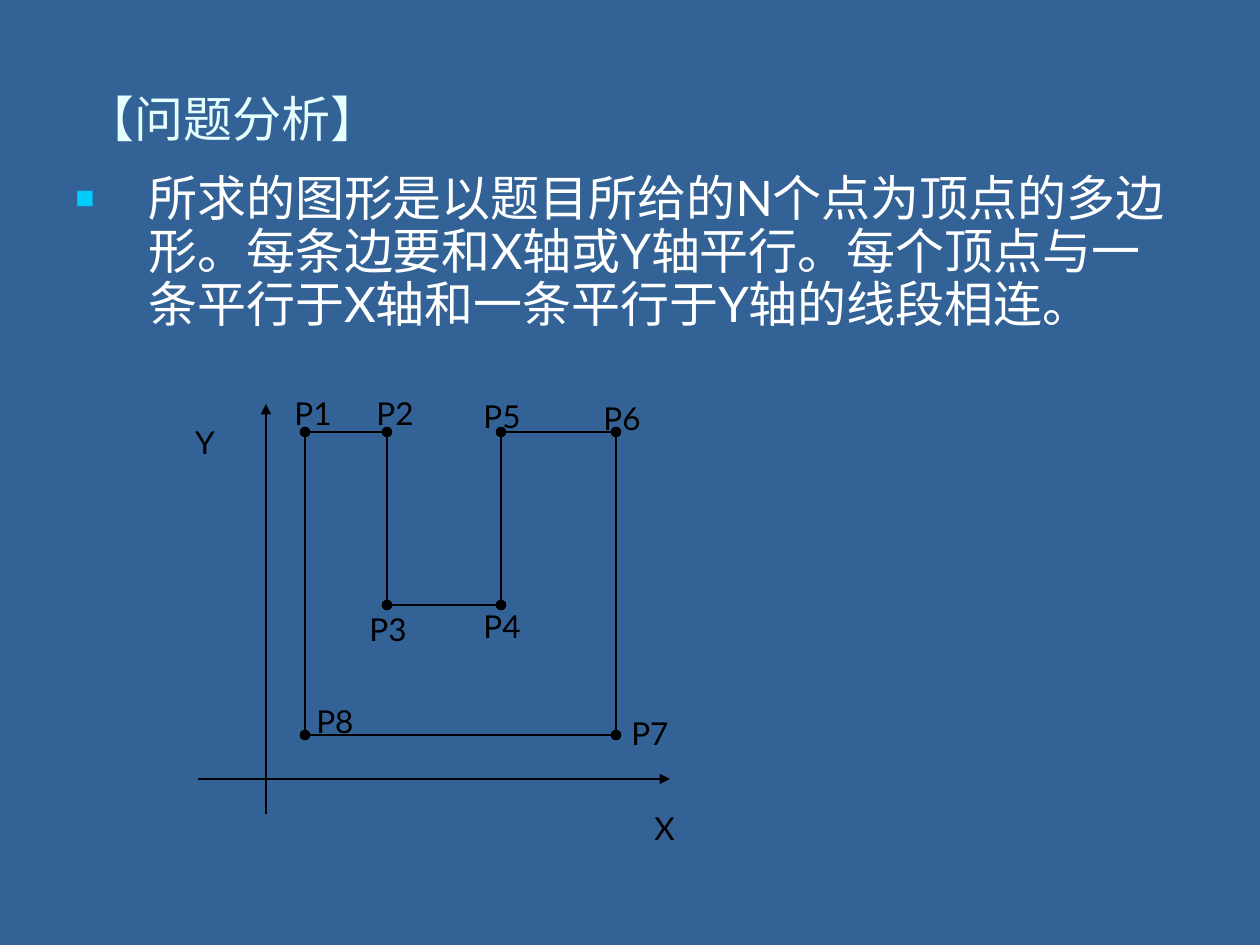
from lxml.etree import SubElement
from pptx import Presentation
from pptx.dml.color import RGBColor
from pptx.enum.shapes import MSO_CONNECTOR
from pptx.enum.text import MSO_ANCHOR, PP_ALIGN
from pptx.oxml.ns import qn
from pptx.util import Emu, Pt

PIXELS_PER_INCH = 126
BACKGROUND = RGBColor(0x32, 0x62, 0x96)
TITLE_COLOR = RGBColor(0xE5, 0xFF, 0xFF)
BODY_COLOR = RGBColor(0xFF, 0xFF, 0xFF)
BULLET_COLOR = RGBColor(0x00, 0xCC, 0xFF)
DIAGRAM_COLOR = RGBColor(0x00, 0x00, 0x00)
FONT = "Lato"

VERTICES = {
    "P1": (134, 44), "P2": (216, 44), "P3": (216, 217), "P4": (330, 217),
    "P5": (330, 44), "P6": (445, 44), "P7": (445, 347), "P8": (134, 347),
}
VERTEX_LABELS = {
    "P1": (111, 0), "P2": (193, 0), "P3": (186, 216), "P4": (300, 213),
    "P5": (300, 3), "P6": (420, 5), "P7": (448, 320), "P8": (133, 308),
}
AXES = [((27, 391), (499, 391)), ((95, 426), (95, 16))]
AXIS_LABELS = {"X": (433, 415, 121), "Y": (0, 29, 68)}
LABEL_WIDTH, LABEL_HEIGHT = 62, 50


def px(length):
    """Turn pixels into EMU."""
    return Emu(round(length * 914400 / PIXELS_PER_INCH))


def add_text(shapes, box, text, size, color, alignment=PP_ALIGN.CENTER, wrap=True):
    """Add a text box with one run and return its frame and paragraph."""
    frame = shapes.add_textbox(*map(px, box)).text_frame
    frame.word_wrap = wrap
    paragraph = frame.paragraphs[0]
    paragraph.alignment = alignment
    run = paragraph.add_run()
    run.text = text
    run.font.size = Pt(size)
    run.font.name = FONT
    run.font.color.rgb = color
    return frame, paragraph


def add_bullet(paragraph, indent):
    """Give a paragraph a square bullet and a hanging indent."""
    properties = paragraph._p.get_or_add_pPr()
    properties.set("marL", str(px(indent)))
    properties.set("indent", str(px(-indent)))
    color = SubElement(properties, qn("a:buClr"))
    SubElement(color, qn("a:srgbClr"), val=str(BULLET_COLOR))
    SubElement(properties, qn("a:buSzPct"), val="65000")
    SubElement(properties, qn("a:buFont"), typeface="Arial")
    SubElement(properties, qn("a:buChar"), char="■")


def add_line(shapes, origin, start, end, **arrowheads):
    """Draw a thin line between two points relative to the origin."""
    left, top = origin
    line = shapes.add_connector(
        MSO_CONNECTOR.STRAIGHT,
        px(left + start[0]), px(top + start[1]),
        px(left + end[0]), px(top + end[1]),
    )
    line.line.color.rgb = DIAGRAM_COLOR
    line.line.width = Pt(0.75)
    outline = line.line._get_or_add_ln()
    for name, kind in arrowheads.items():
        SubElement(outline, qn(f"a:{name}"), type=kind)
    SubElement(line._element.spPr, qn("a:effectLst"))


def add_title(slide, box):
    """Place the heading."""
    frame, _ = add_text(slide.shapes, box, "【问题分析】", 28, TITLE_COLOR)
    frame.vertical_anchor = MSO_ANCHOR.MIDDLE


def add_body(slide, box):
    """Place the bulleted explanation."""
    text = (
        "所求的图形是以题目所给的N个点为顶点的多边形。每条边要和X轴或Y轴平行。"
        "每个顶点与一条平行于X轴和一条平行于Y轴的线段相连。"
    )
    _, paragraph = add_text(slide.shapes, box, text, 28, BODY_COLOR, PP_ALIGN.LEFT)
    paragraph.line_spacing = 0.9
    paragraph.space_before = Pt(7)
    add_bullet(paragraph, 73)


def add_polygon_diagram(slide, origin):
    """Draw the polygon, its axes and their labels as one group."""
    shapes = slide.shapes.add_group_shape().shapes
    left, top = origin
    points = list(VERTICES.values())
    for start, end in zip(points, points[1:] + points[:1]):
        add_line(shapes, origin, start, end, headEnd="oval", tailEnd="oval")
    for start, end in AXES:
        add_line(shapes, origin, start, end, tailEnd="triangle")
    for name, (x, y, width) in AXIS_LABELS.items():
        box = (left + x, top + y, width, LABEL_HEIGHT)
        _, paragraph = add_text(shapes, box, name, 18, DIAGRAM_COLOR)
        paragraph.space_before = Pt(11.2)
    for name, (x, y) in VERTEX_LABELS.items():
        box = (left + x, top + y, LABEL_WIDTH, LABEL_HEIGHT)
        add_text(shapes, box, name, 18, DIAGRAM_COLOR, wrap=False)


def main():
    """Build and save the slide."""
    presentation = Presentation()
    presentation.slide_width = px(1260)
    presentation.slide_height = px(945)
    slide = presentation.slides.add_slide(presentation.slide_layouts[6])
    slide.background.fill.solid()
    slide.background.fill.fore_color.rgb = BACKGROUND
    add_title(slide, (63, 53, 339, 129))
    add_body(slide, (63, 168, 1134, 275))
    add_polygon_diagram(slide, (171, 388))
    presentation.save("out.pptx")


if __name__ == "__main__":
    main()
